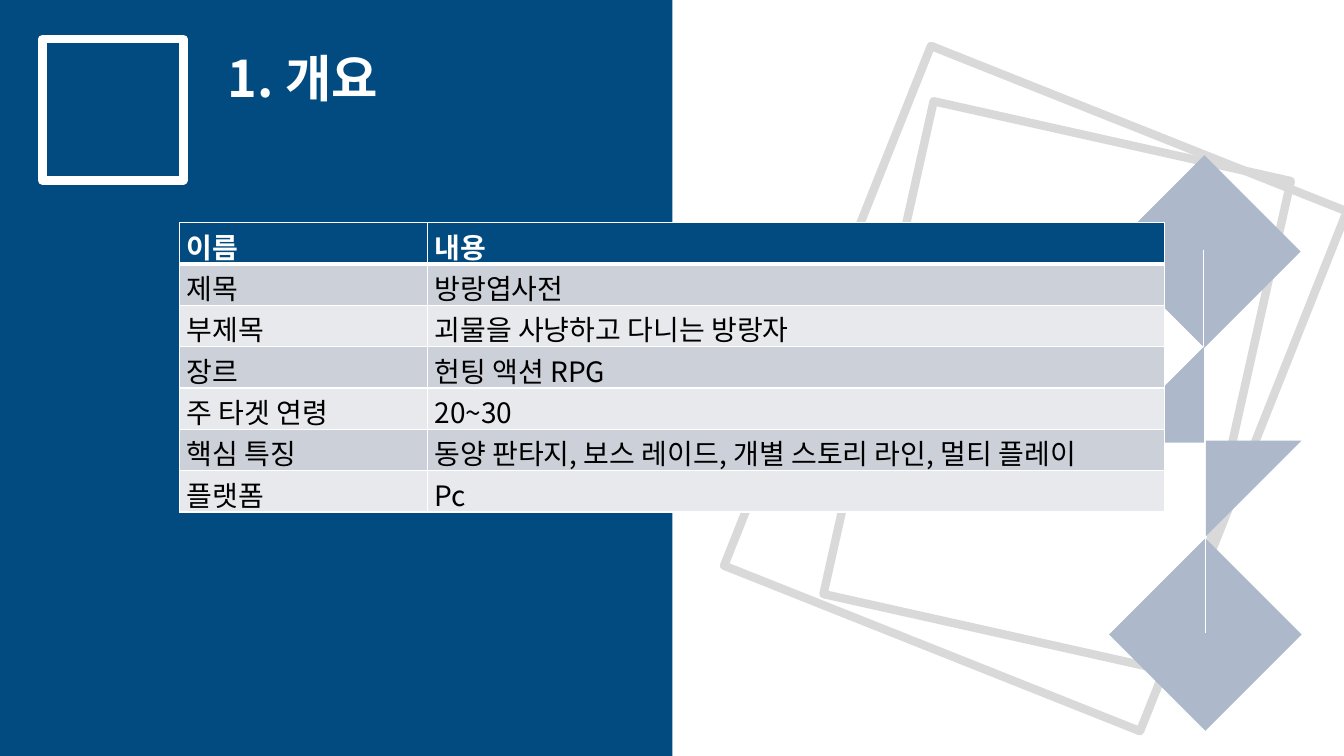
from pptx import Presentation
from pptx.dml.color import RGBColor
from pptx.enum.shapes import MSO_CONNECTOR, MSO_SHAPE as Shape
from pptx.enum.text import MSO_AUTO_SIZE, PP_ALIGN as Align
from pptx.oxml.ns import qn
from pptx.util import Inches, Pt
from lxml.etree import SubElement

FONT = "Noto Sans CJK KR"
NAVY = RGBColor(0x02, 0x4B, 0x80)
WHITE = RGBColor(0xFF, 0xFF, 0xFF)
BLACK = RGBColor(0, 0, 0)
FRAME_GRAY = RGBColor(0xD9, 0xD9, 0xD9)
STEEL = RGBColor(0xAD, 0xB9, 0xCA)
BAND_DARK = RGBColor(0xCC, 0xD0, 0xD8)
BAND_LIGHT = RGBColor(0xE7, 0xE9, 0xED)

TITLE = "1. 개요"
ROWS = [
    ("이름", "내용"),
    ("제목", "방랑엽사전"),
    ("부제목", "괴물을 사냥하고 다니는 방랑자"),
    ("장르", "헌팅 액션 RPG"),
    ("주 타겟 연령", "20~30"),
    ("핵심 특징", "동양 판타지, 보스 레이드, 개별 스토리 라인, 멀티 플레이"),
    ("플랫폼", "Pc"),
]
COLUMN_WIDTHS = (2.46, 7.31)
ROW_HEIGHT = 0.41
TILTED_FRAMES = [
    ((8.67, 1.34, 3.63, 5.01), 12.6),
    ((8.05, 1.08, 4.44, 5.55), 21.7),
]
ORNAMENTS = [
    (Shape.DIAMOND, (10.99, 1.54, 1.91, 1.91), 0),
    (Shape.RIGHT_TRIANGLE, (10.99, 3.44, 0.95, 0.95), 270),
    (Shape.RIGHT_TRIANGLE, (11.96, 4.37, 0.95, 0.95), 90),
    (Shape.DIAMOND, (11, 5.34, 1.91, 1.91), 0),
]
SPINES = [(11.94, 2.48, 3.44), (11.95, 5.32, 6.28)]


def add_figure(shapes, kind, area, fill=None, line=None, rotation=0):
    figure = shapes.add_shape(kind, *map(Inches, area))
    figure.shadow.inherit = False
    figure.rotation = rotation
    if fill is None:
        figure.fill.background()
    else:
        figure.fill.solid()
        figure.fill.fore_color.rgb = fill
    if line is None:
        figure.line.fill.background()
    else:
        figure.line.color.rgb = line
        figure.line.width = Pt(6)


def write(frame, text, size, color, bold=False, align=None, spacing=None, after=None):
    para = frame.paragraphs[0]
    para.alignment = align
    para.line_spacing = spacing
    para.space_after = after
    span = para.add_run()
    span.text = text
    span.font.size = Pt(size)
    span.font.bold = bold
    span.font.color.rgb = color
    span.font.name = FONT
    SubElement(span.font._element, qn("a:ea"), typeface=FONT)


def add_border(cell, side, points):
    properties = cell._tc.get_or_add_tcPr()
    border = SubElement(properties, qn(f"a:ln{side}"), w=str(Pt(points)))
    fill = SubElement(border, qn("a:solidFill"))
    SubElement(fill, qn("a:srgbClr"), val=str(WHITE))


def fill_cell(cell, text, row):
    header = row == 0
    cell.margin_left = cell.margin_right = Inches(0.07)
    cell.margin_top = cell.margin_bottom = 0
    write(cell.text_frame, text, size=20, color=WHITE if header else BLACK,
          bold=header, align=Align.JUSTIFY, spacing=1.07, after=Pt(8))
    for side in "LRTB":
        thick = (side == "B" and row == 0) or (side == "T" and row == 1)
        add_border(cell, side, 3 if thick else 1)
    cell.fill.solid()
    cell.fill.fore_color.rgb = NAVY if header else (BAND_LIGHT, BAND_DARK)[row % 2]


def add_overview(page):
    table = page.shapes.add_table(
        len(ROWS), len(COLUMN_WIDTHS), Inches(1.78), Inches(2.21),
        Inches(sum(COLUMN_WIDTHS)), Inches(ROW_HEIGHT * len(ROWS))).table
    for column, width in zip(table.columns, COLUMN_WIDTHS):
        column.width = Inches(width)
    for row, texts in enumerate(ROWS):
        table.rows[row].height = Inches(ROW_HEIGHT)
        for column, text in enumerate(texts):
            fill_cell(table.cell(row, column), text, row)


def add_spine(shapes, x, top, bottom):
    spine = shapes.add_connector(
        MSO_CONNECTOR.STRAIGHT, Inches(x), Inches(top), Inches(x), Inches(bottom))
    spine.line.color.rgb = WHITE
    spine.line.width = Pt(0.5)
    SubElement(spine._element.spPr, qn("a:effectLst"))


def main():
    deck = Presentation()
    deck.slide_width, deck.slide_height = Inches(13.33), Inches(7.5)
    page = deck.slides.add_slide(deck.slide_layouts[6])

    frames = page.shapes.add_group_shape().shapes
    for area, rotation in TILTED_FRAMES:
        add_figure(frames, Shape.RECTANGLE, area, line=FRAME_GRAY, rotation=rotation)

    add_figure(page.shapes, Shape.RECTANGLE, (0, 0, 6.67, 7.5), fill=NAVY)
    add_figure(page.shapes, Shape.RECTANGLE, (0.42, 0.39, 1.4, 1.4), line=WHITE)

    title = page.shapes.add_textbox(*map(Inches, (2.16, 0.42, 3.47, 0.71))).text_frame
    title.word_wrap = True
    title.auto_size = MSO_AUTO_SIZE.SHAPE_TO_FIT_TEXT
    write(title, TITLE, size=36, color=WHITE, bold=True)

    ornaments = page.shapes.add_group_shape().shapes
    for kind, area, rotation in ORNAMENTS:
        add_figure(ornaments, kind, area, fill=STEEL, rotation=rotation)
    for x, top, bottom in SPINES:
        add_spine(ornaments, x, top, bottom)

    add_overview(page)
    deck.save("out.pptx")


if __name__ == "__main__":
    main()
